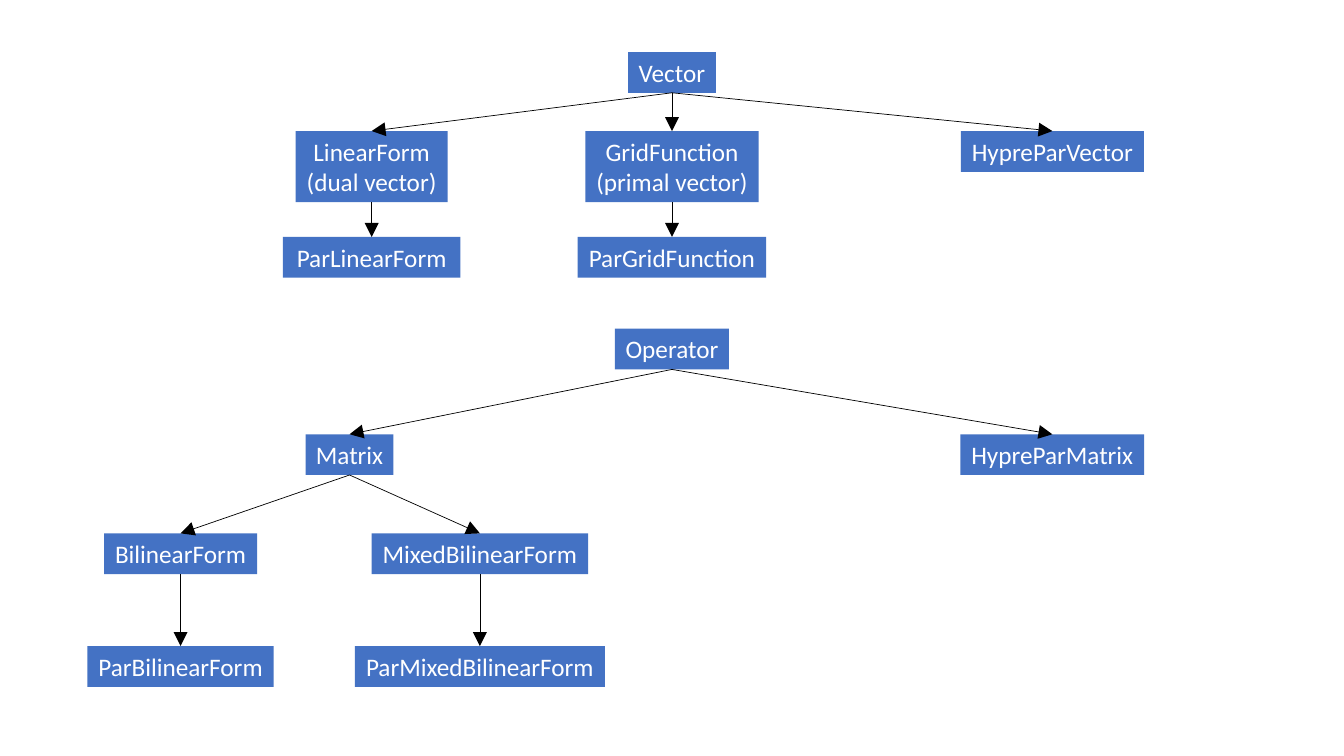
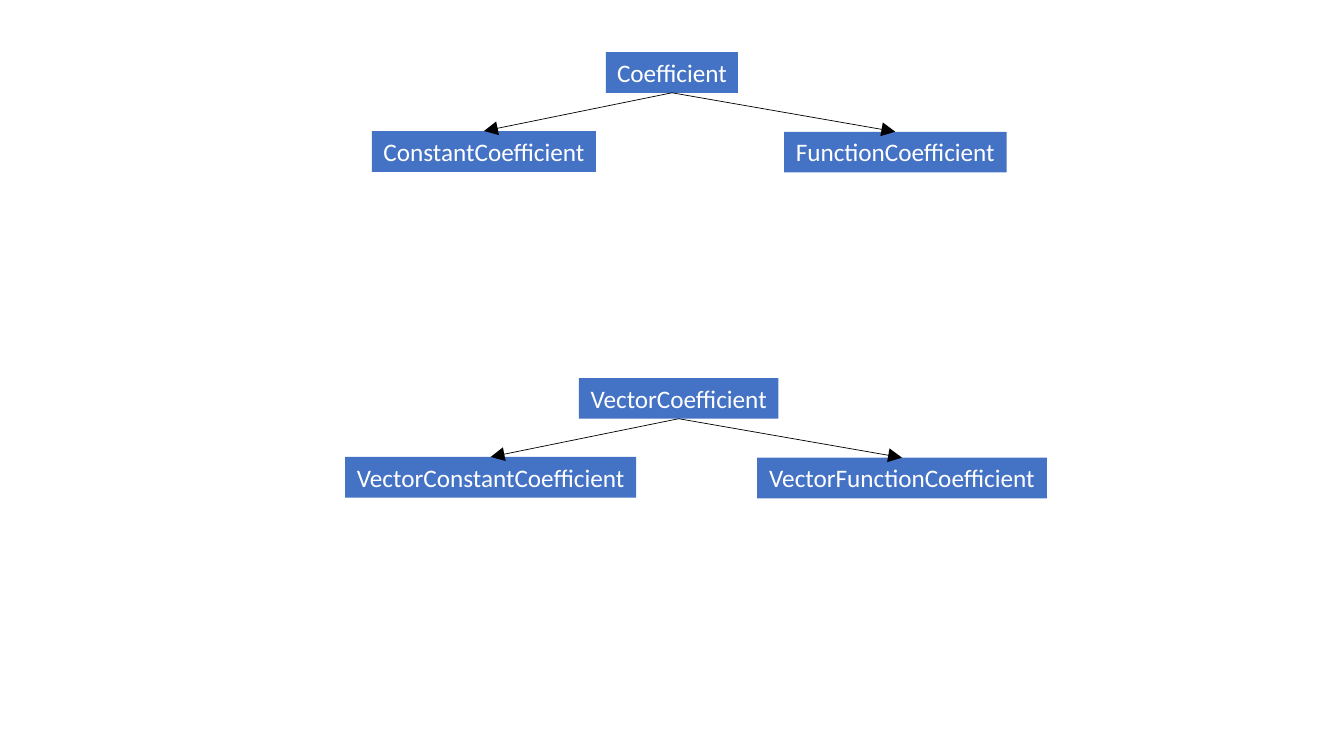
"""Two slides of class inheritance trees."""
from dataclasses import dataclass

from lxml import etree
from pptx import Presentation
from pptx import util as u
from pptx.dml.color import RGBColor
from pptx.enum import shapes, text
from pptx.oxml.ns import qn
from pptx.shapes.autoshape import Shape
from pptx.slide import Slide

COLOURS = {"box": "4472C4", "label": "FFFFFF", "arrow": "000000"}
FONT = "Calibri"
FONT_SIZE = 18
LINE_HEIGHT = 21.8
BOX_PADDING = 7.3  # height of a box beyond its lines of text
BOTTOM, TOP = 2, 0  # connection sites of a rectangle


@dataclass(frozen=True)
class ClassNode:
    """A class box, placed by top centre in points, with its subclasses."""
    label: str
    centre: float
    top: float
    width: float
    subclasses: tuple["ClassNode", ...] = ()


def rgb(role: str) -> RGBColor:
    """Return the colour of a role."""
    return RGBColor.from_string(COLOURS[role])


def draw_box(slide: Slide, node: ClassNode) -> Shape:
    """Draw the labelled rectangle of one class."""
    lines = node.label.split("\n")
    height = LINE_HEIGHT * len(lines) + BOX_PADDING
    box = slide.shapes.add_shape(
        shapes.MSO_SHAPE.RECTANGLE, u.Pt(node.centre - node.width / 2),
        u.Pt(node.top), u.Pt(node.width), u.Pt(height))
    box.shadow.inherit = False
    box.fill.solid()
    box.fill.fore_color.rgb = rgb("box")
    box.line.fill.background()
    frame = box.text_frame
    frame.text = node.label
    frame.word_wrap = False
    frame.auto_size = text.MSO_AUTO_SIZE.SHAPE_TO_FIT_TEXT
    frame.vertical_anchor = text.MSO_ANCHOR.TOP
    for paragraph in frame.paragraphs:
        paragraph.alignment = text.PP_ALIGN.CENTER
        paragraph.font.name = FONT
        paragraph.font.size = u.Pt(FONT_SIZE)
        paragraph.font.color.rgb = rgb("label")
    return box


def draw_arrow(slide: Slide, parent: Shape, child: Shape) -> None:
    """Join the bottom of the parent to the top of the child."""
    arrow = slide.shapes.add_connector(
        shapes.MSO_CONNECTOR.STRAIGHT, 0, 0, 0, 0)
    arrow.begin_connect(parent, BOTTOM)
    arrow.end_connect(child, TOP)
    arrow.line.color.rgb = rgb("arrow")
    arrow.line.width = u.Pt(0.5)
    properties = arrow.element.spPr
    etree.SubElement(properties.find(qn("a:ln")), qn("a:tailEnd"),
                     type="triangle", w="lg", len="lg")
    etree.SubElement(properties, qn("a:effectLst"))


def draw_tree(slide: Slide, node: ClassNode) -> Shape:
    """Draw a class and, below it, all its subclasses."""
    box = draw_box(slide, node)
    for subclass in node.subclasses:
        draw_arrow(slide, box, draw_tree(slide, subclass))
    return box


def coefficient_tree(prefix: str, widths: tuple[float, float, float],
                     dx: float = 0, dy: float = 0) -> ClassNode:
    """Return a coefficient class with its constant and function kinds."""
    base, constant, function = widths
    return ClassNode(f"{prefix}Coefficient", 480 + dx, 37.2 + dy, base, (
        ClassNode(f"{prefix}ConstantCoefficient", 345.7 + dx, 93.6 + dy,
                  constant),
        ClassNode(f"{prefix}FunctionCoefficient", 639.5 + dx, 94.1 + dy,
                  function)))


MIDDLE, HYPRE, LINEAR = 480, 751.7, 265.5
MATRIX, BILINEAR, MIXED = 249.7, 129, 342.8
FORM_TOP, PAR_FORM_TOP = 93.6, 169.2
MATRIX_TOP, BILINEAR_TOP, PAR_BILINEAR_TOP = 310.2, 381, 461.5

VECTORS = ClassNode("Vector", MIDDLE, 37.2, 62.7, (
    ClassNode("LinearForm\n(dual vector)", LINEAR, FORM_TOP, 108.5, (
        ClassNode("ParLinearForm", LINEAR, PAR_FORM_TOP, 126.7),)),
    ClassNode("GridFunction\n(primal vector)", MIDDLE, FORM_TOP, 123.9, (
        ClassNode("ParGridFunction", MIDDLE, PAR_FORM_TOP, 134.6),)),
    ClassNode("HypreParVector", HYPRE, FORM_TOP, 130.8)))

OPERATORS = ClassNode("Operator", MIDDLE, 234.8, 81.4, (
    ClassNode("Matrix", MATRIX, MATRIX_TOP, 62.7, (
        ClassNode("BilinearForm", BILINEAR, BILINEAR_TOP, 109.3, (
            ClassNode("ParBilinearForm", BILINEAR, PAR_BILINEAR_TOP, 133),)),
        ClassNode("MixedBilinearForm", MIXED, BILINEAR_TOP, 154.7, (
            ClassNode("ParMixedBilinearForm", MIXED, PAR_BILINEAR_TOP,
                      178.6),)))),
    ClassNode("HypreParMatrix", HYPRE, MATRIX_TOP, 131.2)))

SLIDES = (
    (VECTORS, OPERATORS),
    (coefficient_tree("", (94.4, 160, 159)),
     coefficient_tree("Vector", (142.4, 208, 207), dx=4.8, dy=232.8)),
)


def main() -> None:
    """Build and save the presentation."""
    deck = Presentation()
    deck.slide_width, deck.slide_height = u.Pt(960), u.Pt(540)
    blank = deck.slide_layouts[6]
    for trees in SLIDES:
        slide = deck.slides.add_slide(blank)
        for tree in trees:
            draw_tree(slide, tree)
    deck.save("out.pptx")


main()
